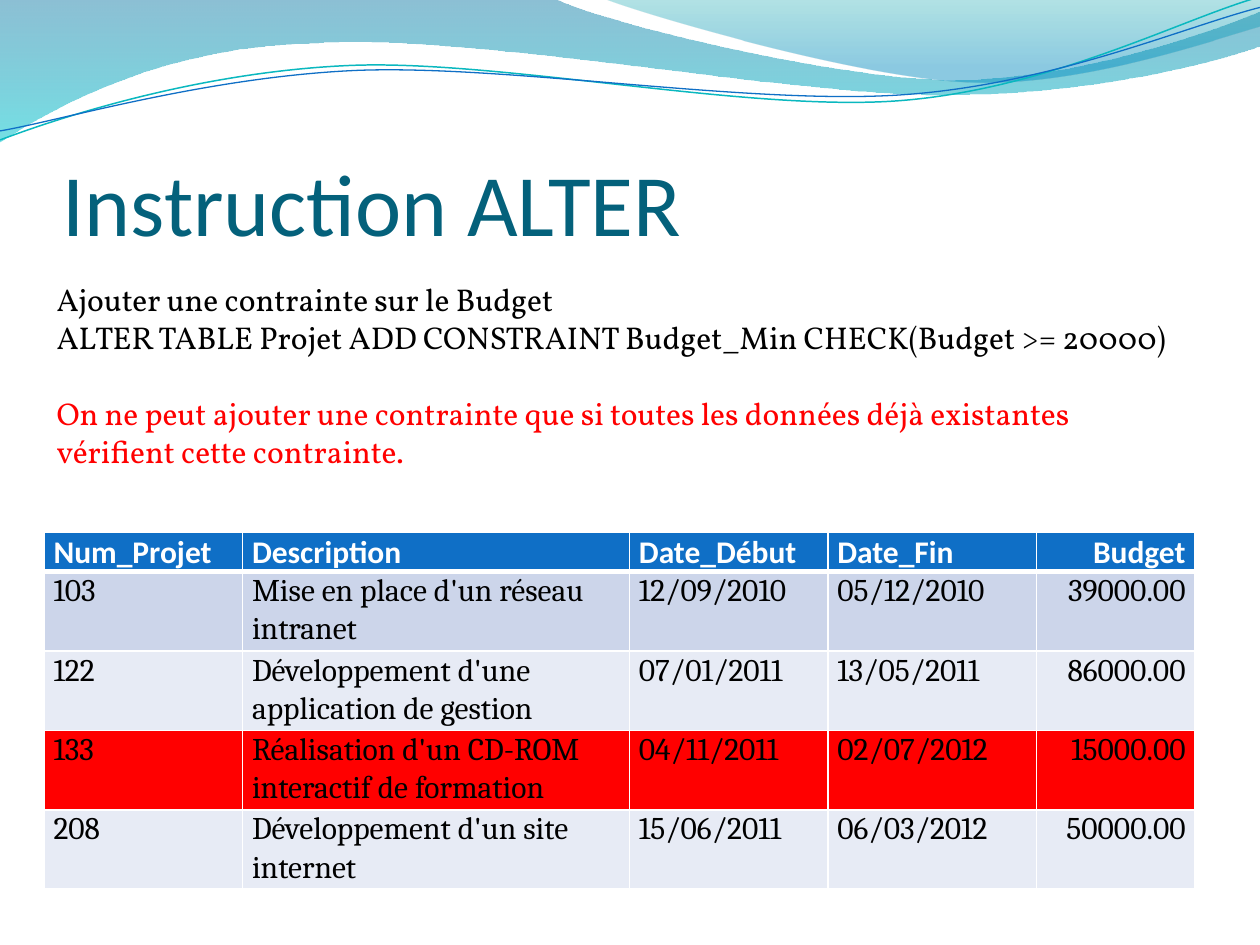
"""Build the slide on the ALTER instruction: waves, title, explanation and project table."""
import math
import lxml.etree
import pptx
import pptx.dml.color
import pptx.enum.text
import pptx.oxml.ns
import pptx.util

Cm = pptx.util.Cm
Pt = pptx.util.Pt
qn = pptx.oxml.ns.qn
ALIGN = pptx.enum.text.PP_ALIGN
ANCHOR = pptx.enum.text.MSO_ANCHOR


def color(value):
    return pptx.dml.color.RGBColor.from_string(value)


def write(paragraph, text, font_color, font_format, paragraph_format):
    run = paragraph.add_run()
    run.text = text
    run.font.color.rgb = color(font_color)
    for name, value in font_format.items():
        setattr(run.font, name, value)
    for name, value in paragraph_format.items():
        setattr(paragraph, name, value)


presentation = pptx.Presentation()
presentation.slide_width = Cm(25.4)
presentation.slide_height = Cm(19.05)
slide = presentation.slides.add_slide(presentation.slide_layouts[6])

waves = [
    {"segments": [[(0, 0)],
                  [(11.18, -0.03)],
                  [(12.09, 0.43), (16.87, 1.6), (19.25, 1.6)],
                  [(21.67, 1.6), (24.33, 0.66), (25.4, 0.23)],
                  [(25.43, 0.91)],
                  [(24.97, 1.12), (22.1, 1.93), (18.95, 1.91)],
                  [(15.8, 1.91), (9.7, 0.71), (6.53, 0.86)],
                  [(3.28, 0.91), (1.17, 2.11), (-0.03, 2.87)]],
     "stops": [(0, "0074A1", 45), (1, "00C6CF", 55)]},
    {"segments": [[(12.17, -0.03)],
                  [(12.93, 0.28), (17.32, 1.57), (19.53, 1.65)],
                  [(21.74, 1.75), (24.41, 0.81), (25.4, 0.53)],
                  [(25.4, 0)]],
     "stops": [(0, "00A1A9", 30), (0.8, "008BBF", 45)]},
    {"segments": [[(0, 2.82)],
                  [(1.22, 2.36), (4.01, 1.45), (7.04, 1.32)],
                  [(10.03, 1.19), (15.06, 2.26), (18.11, 2.03)],
                  [(21.16, 1.8), (23.83, 0.38), (25.35, -0.05)]],
     "line": ("0AB8BF", 0.85), "center": (12.67, 1.46)},
    {"segments": [[(0, 2.64)],
                  [(1.19, 2.44), (4.17, 1.55), (7.19, 1.42)],
                  [(10.24, 1.3), (15.16, 2.13), (18.21, 1.91)],
                  [(21.23, 1.7), (23.9, 0.53), (25.4, 0.15)]],
     "line": ("0F6FC6", 0.75), "center": (12.69, 1.5)},
]
tilt = 2.7
for wave in waves:
    angle = math.radians(tilt if "center" in wave else 0)
    center_x, center_y = wave.get("center", (0, 0))
    segments = [[(Cm(center_x + (x - center_x) * math.cos(angle) - (y - center_y) * math.sin(angle)),
                  Cm(center_y + (x - center_x) * math.sin(angle) + (y - center_y) * math.cos(angle)))
                 for x, y in segment] for segment in wave["segments"]]
    ends = [segment[-1] for segment in segments]
    builder = slide.shapes.build_freeform(*ends[0])
    builder.add_line_segments(ends[1:], close="stops" in wave)
    shape = builder.convert_to_shape()
    shape.shadow.inherit = False
    edges = list(shape._element.spPr.iter(qn("a:lnTo")))
    for edge, segment in zip(edges, segments[1:]):
        if len(segment) == 3:
            curve = lxml.etree.Element(qn("a:cubicBezTo"))
            for x, y in segment:
                lxml.etree.SubElement(curve, qn("a:pt"), x=str(x - shape.left), y=str(y - shape.top))
            edge.getparent().replace(edge, curve)
    if "stops" in wave:
        shape.line.fill.background()
        shape.fill.gradient()
        shape.fill.gradient_angle = 270
        for stop, (position, stop_color, _) in zip(shape.fill.gradient_stops, wave["stops"]):
            stop.position = position
            stop.color.rgb = color(stop_color)
        for element, (_, _, opacity) in zip(shape._element.spPr.iter(qn("a:srgbClr")), wave["stops"]):
            lxml.etree.SubElement(element, qn("a:alpha"), val=str(opacity * 1000))
    else:
        line_color, width = wave["line"]
        shape.rotation = 360 - tilt
        shape.fill.background()
        shape.line.color.rgb = color(line_color)
        shape.line.width = Pt(width)

title = slide.shapes.add_textbox(Cm(1.27), Cm(1.95), Cm(22.86), Cm(3.17))
title_format = {"word_wrap": True, "vertical_anchor": ANCHOR.BOTTOM, "margin_left": 0,
                "margin_right": 0, "margin_top": Cm(0.13), "margin_bottom": 0}
for name, value in title_format.items():
    setattr(title.text_frame, name, value)
write(title.text_frame.paragraphs[0], "Instruction ALTER", "04617B",
      {"name": "Calibri", "size": Pt(50)}, {})

rows = [
    ("Num_Projet", "Description", "Date_Début", "Date_Fin", "Budget"),
    ("103", "Mise en place d'un réseau intranet", "12/09/2010", "05/12/2010", "39000.00"),
    ("122", "Développement d'une application de gestion", "07/01/2011", "13/05/2011", "86000.00"),
    ("133", "Réalisation d'un CD-ROM interactif de formation", "04/11/2011", "02/07/2012", "15000.00"),
    ("208", "Développement d'un site internet", "15/06/2011", "06/03/2012", "50000.00"),
]
row_fills = ["0F6FC6", "CCD5EA", "E7EBF5", "FF0000", "E7EBF5"]
row_heights = [0.77] + [1.53] * 4
column_widths = [4, 7.8, 4, 4.2, 3.2]
header_font = {"name": "Calibri", "size": Pt(18), "bold": True}
body_font = {"name": "Cambria", "size": Pt(18), "bold": False}
cell_format = {"margin_left": Cm(0.19), "margin_right": Cm(0.19), "margin_top": 0, "margin_bottom": 0}
border_widths = {"L": 1, "R": 1, "T": 1, "B": 3}
table = slide.shapes.add_table(len(rows), len(column_widths), Cm(0.89), Cm(10.72),
                               Cm(sum(column_widths)), Cm(sum(row_heights))).table
for column, width in zip(table.columns, column_widths):
    column.width = Cm(width)
for row_index, texts in enumerate(rows):
    table.rows[row_index].height = Cm(row_heights[row_index])
    header = row_index == 0
    for column_index, text in enumerate(texts):
        cell = table.cell(row_index, column_index)
        for name, value in cell_format.items():
            setattr(cell, name, value)
        if header:
            properties = cell._tc.get_or_add_tcPr()
            for side, width in border_widths.items():
                border = lxml.etree.SubElement(properties, qn("a:ln" + side), w=str(Pt(width)))
                border_fill = lxml.etree.SubElement(border, qn("a:solidFill"))
                lxml.etree.SubElement(border_fill, qn("a:srgbClr"), val="FFFFFF")
        cell.fill.solid()
        cell.fill.fore_color.rgb = color(row_fills[row_index])
        alignment = ALIGN.RIGHT if column_index == len(texts) - 1 else ALIGN.LEFT
        write(cell.text_frame.paragraphs[0], text, "FFFFFF" if header else "000000",
              header_font if header else body_font, {"alignment": alignment, "line_spacing": 1.05})

explanation = slide.shapes.add_textbox(Cm(0.89), Cm(5.53), Cm(23.19), Cm(4.88)).text_frame
explanation.word_wrap = True
explanation.auto_size = pptx.enum.text.MSO_AUTO_SIZE.SHAPE_TO_FIT_TEXT
sentences = [
    ("Ajouter une contrainte sur le Budget", "000000", 0),
    ("ALTER TABLE Projet ADD CONSTRAINT Budget_Min CHECK(Budget >= 20000)", "000000", 0),
    ("On ne peut ajouter une contrainte que si toutes les données déjà existantes "
     "vérifient cette contrainte.", "FF0000", 21.6),
]
for index, (text, text_color, gap) in enumerate(sentences):
    paragraph = explanation.add_paragraph() if index else explanation.paragraphs[0]
    write(paragraph, text, text_color, {"name": "Vollkorn", "size": Pt(18)}, {"space_before": Pt(gap)})

presentation.save("out.pptx")
